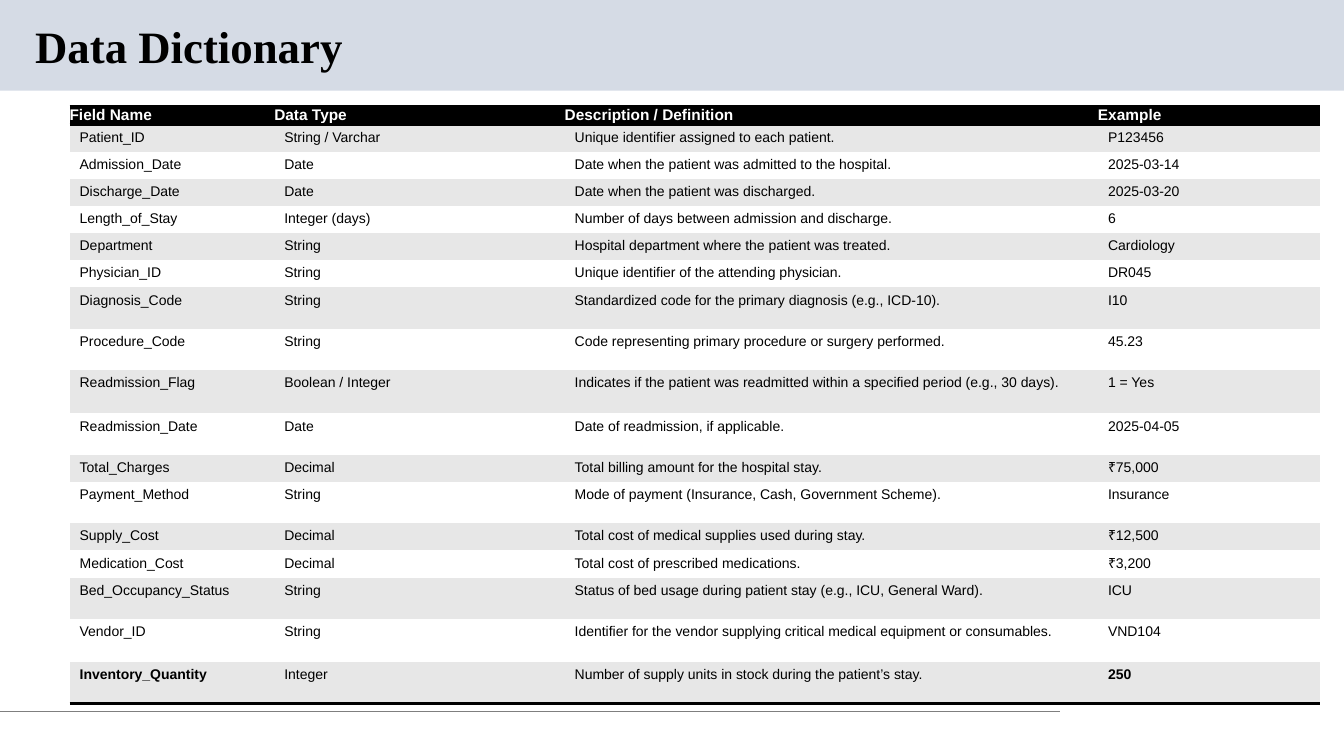
from lxml import etree
from pptx import Presentation
from pptx.dml.color import RGBColor
from pptx.enum.shapes import MSO_CONNECTOR, MSO_SHAPE
from pptx.enum.text import MSO_ANCHOR
from pptx.oxml.ns import qn
from pptx.util import Inches, Pt

MIDDLE, TOP = MSO_ANCHOR.MIDDLE, MSO_ANCHOR.TOP
RECT, LINE = MSO_SHAPE.RECTANGLE, MSO_CONNECTOR.STRAIGHT

TITLE = "Data Dictionary"
HEAD = ("Field Name", "Data Type", "Description / Definition", "Example")
LOW, MID, HIGH = 0.27, 0.41, 0.43
# Row height, then the four cells
FIELDS = [
    (LOW, "Patient_ID", "String / Varchar", "Unique identifier assigned to each patient.", "P123456"),
    (LOW, "Admission_Date", "Date", "Date when the patient was admitted to the hospital.", "2025-03-14"),
    (LOW, "Discharge_Date", "Date", "Date when the patient was discharged.", "2025-03-20"),
    (LOW, "Length_of_Stay", "Integer (days)", "Number of days between admission and discharge.", "6"),
    (LOW, "Department", "String", "Hospital department where the patient was treated.", "Cardiology"),
    (LOW, "Physician_ID", "String", "Unique identifier of the attending physician.", "DR045"),
    (MID, "Diagnosis_Code", "String", "Standardized code for the primary diagnosis (e.g., ICD-10).", "I10"),
    (MID, "Procedure_Code", "String", "Code representing primary procedure or surgery performed.", "45.23"),
    (HIGH, "Readmission_Flag", "Boolean / Integer",
     "Indicates if the patient was readmitted within a specified period (e.g., 30 days).", "1 = Yes"),
    (MID, "Readmission_Date", "Date", "Date of readmission, if applicable.", "2025-04-05"),
    (LOW, "Total_Charges", "Decimal", "Total billing amount for the hospital stay.", "₹75,000"),
    (MID, "Payment_Method", "String", "Mode of payment (Insurance, Cash, Government Scheme).", "Insurance"),
    (LOW, "Supply_Cost", "Decimal", "Total cost of medical supplies used during stay.", "₹12,500"),
    (LOW, "Medication_Cost", "Decimal", "Total cost of prescribed medications.", "₹3,200"),
    (MID, "Bed_Occupancy_Status", "String",
     "Status of bed usage during patient stay (e.g., ICU, General Ward).", "ICU"),
    (HIGH, "Vendor_ID", "String",
     "Identifier for the vendor supplying critical medical equipment or consumables.", "VND104"),
    (MID, "Inventory_Quantity", "Integer", "Number of supply units in stock during the patient’s stay.", "250"),
]
ROWS = [(0.18, *HEAD)] + FIELDS
COLS = (2.03, 2.88, 5.29, 2.2)
LAST = len(ROWS) - 1
BLACK, WHITE, GREY = "000000", "FFFFFF", "E7E7E7"


def color(code):
    return RGBColor.from_string(code)


def style(para, font, size, code, bold):
    for run in para.runs:
        run.font.name, run.font.size, run.font.bold = font, Pt(size), bold
        run.font.color.rgb = color(code)


def border(cell, sides):
    """Draw a black rule on the given sides and clear the others."""
    props = cell._tc.get_or_add_tcPr()
    for side in "LRTB":
        edge = etree.SubElement(props, qn("a:ln" + side), w=str(Pt(2)))
        if side in sides:
            fill = etree.SubElement(edge, qn("a:solidFill"))
            etree.SubElement(fill, qn("a:srgbClr"), val=BLACK)
        else:
            etree.SubElement(edge, qn("a:noFill"))


def fill_cell(cell, text, row, col):
    head = row == 0
    cell.text_frame.text = text
    bold = head or (row == LAST and col in (0, 3))
    style(cell.text_frame.paragraphs[0], "Arial", 11 if head else 10,
          WHITE if head else BLACK, bold)
    cell.vertical_anchor = MIDDLE if head else TOP
    cell.margin_left = cell.margin_right = Inches(0 if head else 0.1)
    cell.margin_top = cell.margin_bottom = Inches(0 if head else 0.05)
    border(cell, {0: "TB", 1: "T", LAST: "B"}.get(row, ""))
    cell.fill.solid()
    cell.fill.fore_color.rgb = color(BLACK if head else GREY if row % 2 else WHITE)


deck = Presentation()
deck.slide_width, deck.slide_height = Inches(13.33), Inches(7.5)
shapes = deck.slides.add_slide(deck.slide_layouts[6]).shapes

band = shapes.add_shape(RECT, 0, 0, deck.slide_width, Inches(0.9))
band.shadow.inherit = False
band.fill.solid()
band.fill.fore_color.rgb = color("D5DBE5")
band.line.fill.background()

rule = shapes.add_connector(LINE, 0, Inches(7.06), Inches(10.51), Inches(7.06))
rule.line.color.rgb = color("7F7F7F")
rule.line.width = Pt(0.75)
etree.SubElement(rule._element.spPr, qn("a:effectLst"))

title = shapes.add_textbox(Inches(0.25), Inches(0.19), Inches(11.5), Inches(0.59))
frame = title.text_frame
frame.word_wrap = True
frame.vertical_anchor = MIDDLE
frame.text = TITLE
frame.paragraphs[0].line_spacing = 0.9
style(frame.paragraphs[0], "Times New Roman", 32, BLACK, True)

table = shapes.add_table(len(ROWS), len(COLS), Inches(0.69), Inches(1.05),
                         Inches(sum(COLS)), Inches(5.89)).table
for col, width in enumerate(COLS):
    table.columns[col].width = Inches(width)
for row, (height, *texts) in enumerate(ROWS):
    table.rows[row].height = Inches(height)
    for col, text in enumerate(texts):
        fill_cell(table.cell(row, col), text, row, col)

deck.save("out.pptx")
